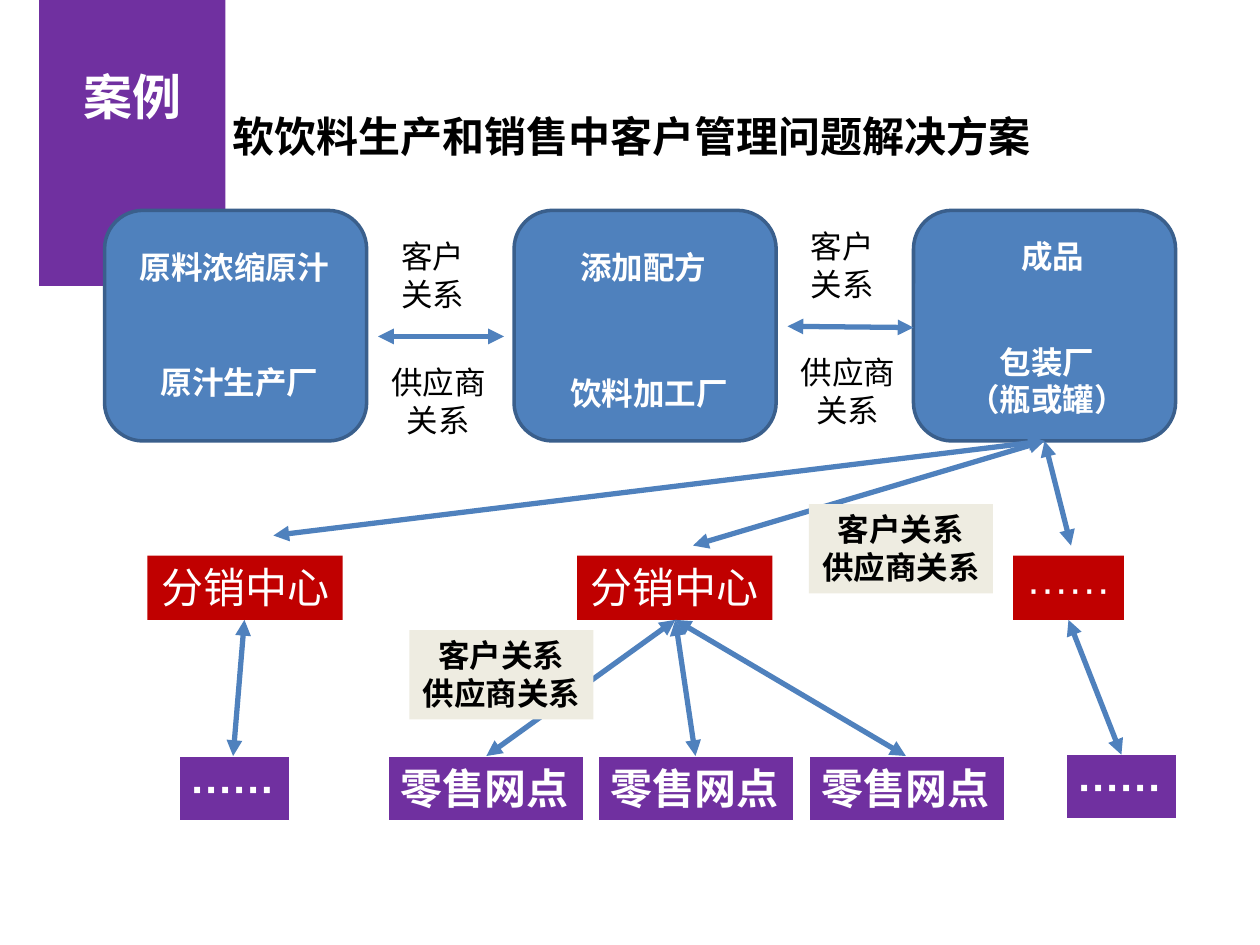
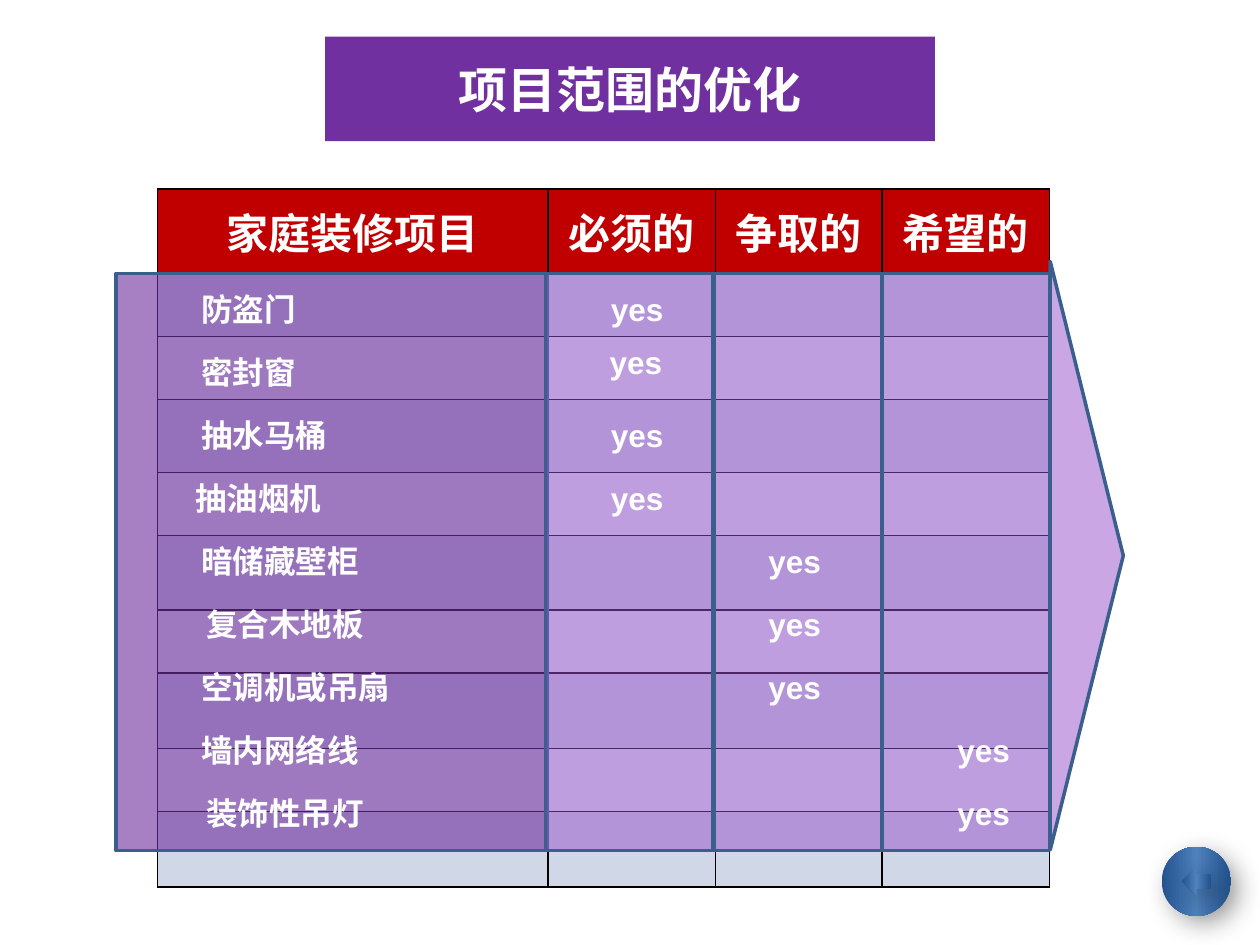
from lxml import etree
from pptx import Presentation
from pptx import util as u
from pptx.dml.color import RGBColor
from pptx.enum import shapes, text
from pptx.oxml.ns import qn

Inches = u.Inches
PURPLE, VIOLET, RED = "7030A0", "9751CB", "C00000"
BLUE, NAVY, DEEP_BLUE = "4F81BD", "3A5F8C", "22538E"
CREAM, WHITE, BLACK = "EEECE1", "FFFFFF", "000000"
BANDS = ("E9EDF4", "D0D8E8")
LEFT, CENTER = text.PP_ALIGN.LEFT, text.PP_ALIGN.CENTER
KIND = shapes.MSO_SHAPE


def color(value):
    """Turn a hex string into a colour."""
    return RGBColor.from_string(value)


def add_xml(parent, tag, **attributes):
    """Append a drawing element with its attributes."""
    return etree.SubElement(parent, qn("a:" + tag), {k: str(v) for k, v in attributes.items()})


def write(frame, words, size=18, ink=BLACK, bold=False, font="Arial", align=LEFT):
    """Write lines of text into a frame, one paragraph a line."""
    frame.text = words
    for paragraph in frame.paragraphs:
        paragraph.alignment = align
        for run in paragraph.runs:
            run.font.name, run.font.size, run.font.bold = font, u.Pt(size), bold
            run.font.color.rgb = color(ink)


class Deck:
    """Hold the shared style and the current slide."""

    def __init__(self):
        """Start an empty presentation."""
        self.presentation = Presentation()
        self.presentation.slide_width = Inches(10)
        self.presentation.slide_height = Inches(7.5)
        self.slide = None

    def new_slide(self, title, box, bottom_inset=0.05):
        """Add a slide whose title is a purple band."""
        self.slide = self.presentation.slides.add_slide(self.presentation.slide_layouts[5])
        shape = self.slide.shapes.title
        shape.left, shape.top, shape.width, shape.height = map(Inches, box)
        shape.fill.solid()
        shape.fill.fore_color.rgb = color(PURPLE)
        frame = shape.text_frame
        frame.auto_size = text.MSO_AUTO_SIZE.NONE
        frame.vertical_anchor = text.MSO_ANCHOR.MIDDLE
        frame.margin_bottom = Inches(bottom_inset)
        write(frame, title, size=28, ink=WHITE, bold=True, font="Calibri", align=CENTER)

    def shape(self, box, fill, kind=KIND.RECTANGLE, line=None, weight=2, opacity=None):
        """Add a preset shape with a flat fill."""
        shape = self.slide.shapes.add_shape(kind, *map(Inches, box))
        shape.shadow.inherit = False
        shape.fill.solid()
        shape.fill.fore_color.rgb = color(fill)
        if opacity:
            solid = shape._element.spPr.find(qn("a:solidFill"))
            add_xml(solid[0], "alpha", val=opacity * 1000)
        if line:
            shape.line.color.rgb = color(line)
            shape.line.width = u.Pt(weight)
        else:
            shape.line.fill.background()
        return shape

    def fit(self, shape, words, **style):
        """Write unwrapped text that the shape grows to fit."""
        frame = shape.text_frame
        frame.word_wrap = False
        frame.auto_size = text.MSO_AUTO_SIZE.SHAPE_TO_FIT_TEXT
        frame.vertical_anchor = text.MSO_ANCHOR.TOP
        write(frame, words, **style)

    def label(self, words, box, **style):
        """Add a text box."""
        self.fit(self.slide.shapes.add_textbox(*map(Inches, box)), words, **style)

    def tag(self, words, box, fill, line=None, **style):
        """Add a filled rectangle with text."""
        self.fit(self.shape(box, fill, line=line, weight=0.75), words, **style)

    def arrow(self, start, end):
        """Add a line with an arrowhead at each end."""
        connector = self.slide.shapes.add_connector(
            shapes.MSO_CONNECTOR.STRAIGHT, *map(Inches, start + end))
        connector.line.color.rgb = color(BLUE)
        connector.line.width = u.Pt(3)
        line = connector.line._get_or_add_ln()
        add_xml(line, "headEnd", type="triangle")
        add_xml(line, "tailEnd", type="triangle")
        add_xml(connector._element.spPr, "effectLst")

    def glossy(self, kind, box):
        """Add a shape with a blue gradient and a soft shadow."""
        shape = self.shape(box, BLUE, kind)
        shape.fill.gradient()
        shape.fill.gradient_angle = 0
        properties = shape._element.spPr
        stops = properties.find(qn("a:gradFill")).find(qn("a:gsLst"))
        for stop in list(stops):
            stops.remove(stop)
        for position, value in ((0, DEEP_BLUE), (50, BLUE), (100, DEEP_BLUE)):
            stop = add_xml(stops, "gs", pos=position * 1000)
            add_xml(stop, "srgbClr", val=value)
        shadow = add_xml(properties.find(qn("a:effectLst")), "outerShdw",
                         blurRad=u.Pt(15), dist=u.Pt(6.2), dir=45 * 60000)
        add_xml(add_xml(shadow, "srgbClr", val=BLACK), "alpha", val=36000)

    def table(self, position, columns, rows, headings):
        """Add a bordered table with a red heading row and banded empty rows."""
        box = (*position, sum(columns), sum(rows))
        table = self.slide.shapes.add_table(len(rows), len(columns), *map(Inches, box)).table
        for column, width in zip(table.columns, columns):
            column.width = Inches(width)
        for index, height in enumerate(rows):
            table.rows[index].height = Inches(height)
            for number, heading in enumerate(headings):
                cell = table.cell(index, number)
                properties = cell._tc.get_or_add_tcPr()
                for side in ("lnL", "lnR", "lnT", "lnB"):
                    border = add_xml(properties, side, w=u.Pt(1))
                    add_xml(add_xml(border, "solidFill"), "srgbClr", val=BLACK)
                cell.fill.solid()
                cell.fill.fore_color.rgb = color(BANDS[index % 2] if index else RED)
                if index == 0:
                    cell.vertical_anchor = text.MSO_ANCHOR.MIDDLE
                    write(cell.text_frame, heading, size=24, ink=WHITE, bold=True,
                          font="Times New Roman", align=CENTER)


def build_supply_chain(deck):
    """Build the soft drink supply chain slide."""
    deck.new_slide("案例", (0.31, 0, 1.48, 2.27), bottom_inset=0.8)
    factories = (
        (0.83, (("原汁生产厂", (1.17, 2.83, 1.46, 0.4)), ("原料浓缩原汁", (1, 1.92, 1.72, 0.4)))),
        (4.08, (("饮料加工厂", (4.42, 2.92, 1.46, 0.4)), ("添加配方", (4.5, 1.92, 1.21, 0.4)))),
        (7.25, (("包装厂\n（瓶或罐）", (7.58, 2.67, 1.46, 0.71)), ("成品", (8, 1.83, 0.71, 0.4)))),
    )
    for left, labels in factories:
        deck.shape((left, 1.67, 2.08, 1.83), BLUE, KIND.ROUNDED_RECTANGLE, line=NAVY)
        for words, box in labels:
            deck.label(words, box, ink=WHITE, bold=True, align=CENTER)

    for left, top, drop in ((3, 1.83, 0), (6.25, 1.75, 0.01)):
        deck.arrow((left, top + 0.84), (left + 1, top + 0.84 + drop))
        deck.label("客户\n关系", (left + 0.08, top, 0.71, 0.71), align=CENTER)
        deck.label("供应商\n关系", (left, top + 1, 0.96, 0.71), align=CENTER)

    for words, left, width in (("分销中心", 1.17, 1.55), ("分销中心", 4.58, 1.55), ("······", 8.04, 0.88)):
        deck.tag(words, (left, 4.41, width, 0.51), RED, size=24, ink=WHITE, align=CENTER)
    outlets = [("零售网点", 3.08 + 1.67 * index, 6, 1.55) for index in range(3)]
    outlets += [("······", 1.42, 6, 0.88), ("······", 8.46, 5.99, 0.88)]
    for words, left, top, width in outlets:
        deck.tag(words, (left, top, width, 0.51), PURPLE, line=WHITE, size=24, ink=WHITE, bold=True)

    links = (
        ((8.29, 3.5), ((2.17, 4.25), (5.5, 4.33), (8.5, 4.33))),
        ((5.36, 4.92), ((3.86, 6), (5.52, 6), (7.19, 6))),
        ((1.94, 4.92), ((1.85, 6),)),
        ((8.48, 4.92), ((8.9, 5.99),)),
    )
    for start, ends in links:
        for end in ends:
            deck.arrow(start, end)
    for left, top in ((6.42, 4), (3.25, 5)):
        deck.tag("客户关系\n供应商关系", (left, top, 1.46, 0.71), CREAM, bold=True, align=CENTER)
    deck.label("软饮料生产和销售中客户管理问题解决方案", (1.75, 0.83, 6.6, 0.51), size=24, bold=True)


def build_scope(deck):
    """Build the project scope slide."""
    deck.new_slide("项目范围的优化", (2.58, 0.29, 4.84, 0.83))
    deck.table((1.25, 1.5), (3.1, 1.33, 1.32, 1.33),
               (0.67, 0.5, 0.5, 0.58, 0.5, 0.59, 0.5, 0.6, 0.5, 0.6),
               ("家庭装修项目", "必须的", "争取的", "希望的"))

    deck.shape((0.92, 2.17, 3.42, 4.58), PURPLE, line=NAVY, opacity=61)
    for left in (4.33, 5.67, 7):
        deck.shape((left, 2.17, 1.33, 4.58), VIOLET, line=NAVY, opacity=50)
    tip = deck.shape((6.29, 4.12, 4.67, 0.58), VIOLET, KIND.ISOSCELES_TRIANGLE, line=NAVY, opacity=50)
    tip.rotation = 90

    items = (
        ("防盗门", 1.5, 0.96, 4.75), ("密封窗", 1.5, 0.96, 4.74), ("抽水马桶", 1.5, 1.21, 4.75),
        ("抽油烟机", 1.45, 1.21, 4.75), ("暗储藏壁柜", 1.5, 1.46, 6), ("复合木地板", 1.54, 1.46, 6),
        ("空调机或吊扇", 1.5, 1.72, 6), ("墙内网络线", 1.5, 1.46, 7.5), ("装饰性吊灯", 1.54, 1.46, 7.5),
    )
    for index, (item, left, width, yes_left) in enumerate(items):
        top = 2.25 + 0.5 * index
        yes_top = 2.67 if item == "密封窗" else top
        deck.label(item, (left, top, width, 0.4), ink=WHITE, bold=True)
        deck.label("yes", (yes_left, yes_top, 0.62, 0.4), ink=WHITE, bold=True)

    deck.glossy(KIND.OVAL, (9.22, 6.72, 0.55, 0.55))
    deck.glossy(KIND.LEFT_ARROW, (9.38, 6.88, 0.23, 0.23))


def main():
    """Build both slides and save them."""
    deck = Deck()
    build_supply_chain(deck)
    build_scope(deck)
    deck.presentation.save("out.pptx")


if __name__ == "__main__":
    main()
